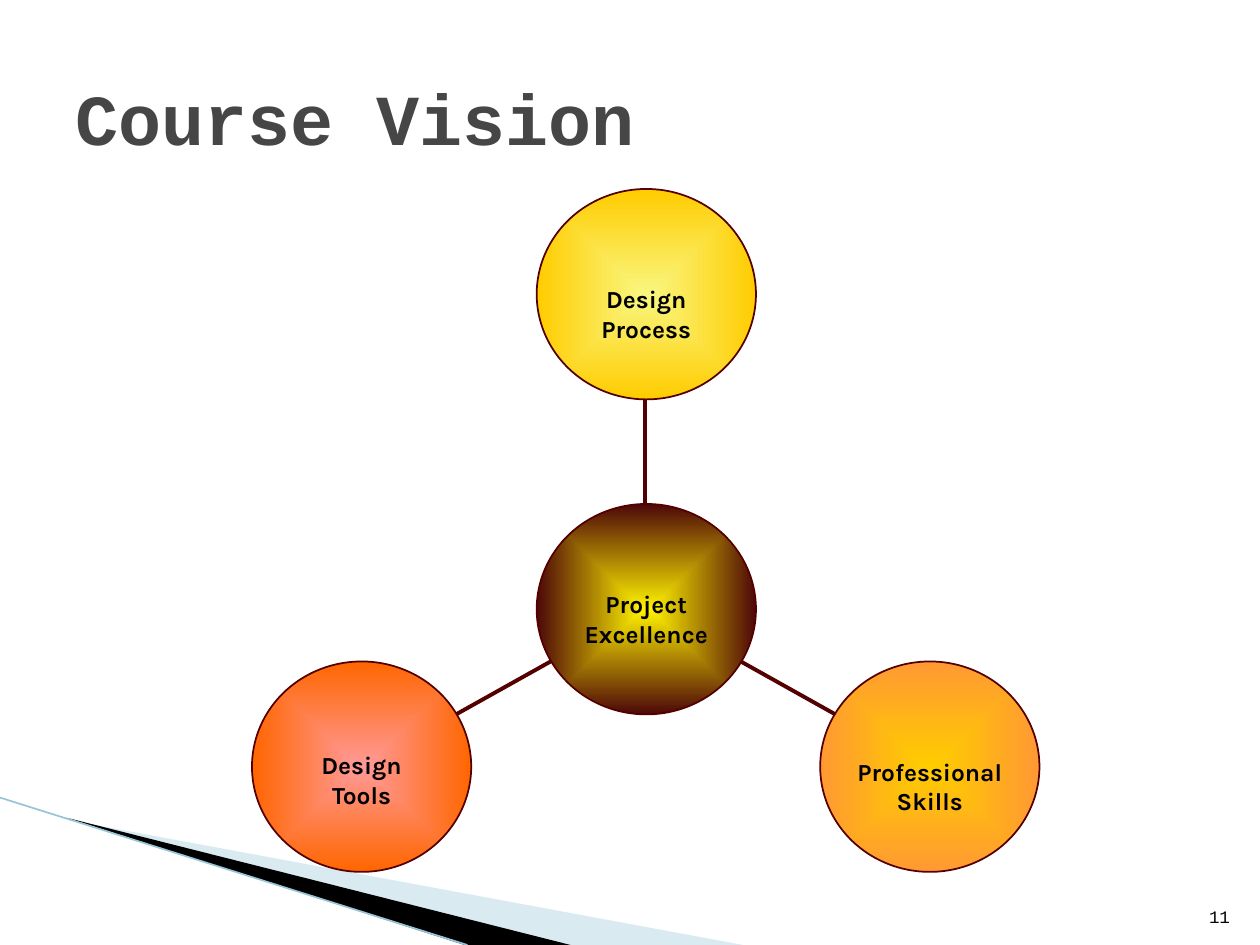
from lxml import etree
from pptx import Presentation
from pptx.dml.color import RGBColor
from pptx.enum.shapes import MSO_CONNECTOR as CONNECTOR, MSO_SHAPE as SHAPE
from pptx.enum.text import MSO_ANCHOR as ANCHOR, PP_ALIGN as ALIGN
from pptx.oxml.ns import qn
from pptx.util import Inches, Pt


def color(value):
    return RGBColor.from_string(value)


def write(frame, text, font, size, ink, bold, align, anchor):
    frame.word_wrap = True
    frame.vertical_anchor = anchor
    paragraph = frame.paragraphs[0]
    paragraph.alignment = align
    run = paragraph.add_run()
    run.text = text
    run.font.name = font
    run.font.size = Pt(size)
    run.font.bold = bold
    run.font.color.rgb = color(ink)


deck = Presentation()
deck.slide_width, deck.slide_height = Inches(10), Inches(7.5)
slide = deck.slides.add_slide(deck.slide_layouts[6])
shapes = slide.shapes

wedges = [
    ([(0.55, 6.51), (5.95, 7.51), (4.56, 7.51)], "A0CBDC", 40),
    ([(0.53, 6.49), (4.57, 7.51), (3.72, 7.51)], "000000", 100),
]
for points, tint, opacity in wedges:
    corners = [(Inches(x), Inches(y)) for x, y in points]
    builder = shapes.build_freeform(*corners[0], scale=1.0)
    builder.add_line_segments(corners[1:], close=True)
    wedge = builder.convert_to_shape()
    wedge.shadow.inherit = False
    wedge.fill.solid()
    wedge.fill.fore_color.rgb = color(tint)
    wedge.line.fill.background()
    if opacity < 100:
        tone = wedge.fill._xPr.find(".//" + qn("a:srgbClr"))
        etree.SubElement(tone, qn("a:alpha"), val=str(opacity * 1000))

title = shapes.add_textbox(Inches(0.5), Inches(0.3), Inches(8.75), Inches(1.25))
write(title.text_frame, "Course Vision", "Courier New", 41, "464646", True, ALIGN.LEFT, ANCHOR.MIDDLE)

circles = [
    ("Design Tools", 2, 5.25, "FF9997", "FF6600", 0.07, 0.24),
    ("Professional Skills", 6.51, 5.25, "FFCC00", "FF9933", 0, 0.34),
    ("Design Process", 4.26, 1.5, "F9F67F", "FFCC00", 0.07, 0.34),
    ("Project Excellence", 4.26, 4, "FFF200", "4D0808", 0, 0.18),
]
for topic, left, top, center, edge, side_inset, top_inset in circles:
    circle = shapes.add_shape(SHAPE.OVAL, Inches(left), Inches(top), Inches(1.74), Inches(1.67))
    circle.shadow.inherit = False
    circle.line.color.rgb = color("540000")
    circle.line.width = Pt(1)
    circle.fill.gradient()
    for stop, shade in zip(circle.fill.gradient_stops, (center, edge)):
        stop.color.rgb = color(shade)
    linear = circle._element.spPr.find(".//" + qn("a:lin"))
    radial = etree.Element(qn("a:path"), attrib={"path": "shape"})
    etree.SubElement(radial, qn("a:fillToRect"), l="50000", t="50000", r="50000", b="50000")
    linear.getparent().replace(linear, radial)
    frame = circle.text_frame
    frame.margin_left = frame.margin_right = Inches(side_inset)
    frame.margin_top, frame.margin_bottom = Inches(top_inset), Inches(0.03)
    write(frame, topic, "Karla", 14, "000000", True, ALIGN.CENTER, ANCHOR.MIDDLE)

links = [
    (0, 6.33, 3.71, 7.5, "97C5D8", 0.95),
    (5.88, 5.25, 6.63, 5.67, "540000", 2.25),
    (4.37, 5.25, 3.62, 5.67, "540000", 2.25),
    (5.12, 4.01, 5.12, 3.17, "540000", 2.25),
]
for x1, y1, x2, y2, ink, weight in links:
    link = shapes.add_connector(CONNECTOR.STRAIGHT, Inches(x1), Inches(y1), Inches(x2), Inches(y2))
    link.line.color.rgb = color(ink)
    link.line.width = Pt(weight)
    etree.SubElement(link._element.spPr, qn("a:effectLst"))

page_number = shapes.add_textbox(Inches(9.46), Inches(7.01), Inches(0.4), Inches(0.4))
page_number.text_frame.margin_left = page_number.text_frame.margin_right = Inches(0.1)
write(page_number.text_frame, "11", "Courier New", 10, "000000", False, ALIGN.RIGHT, ANCHOR.BOTTOM)

deck.save("out.pptx")
